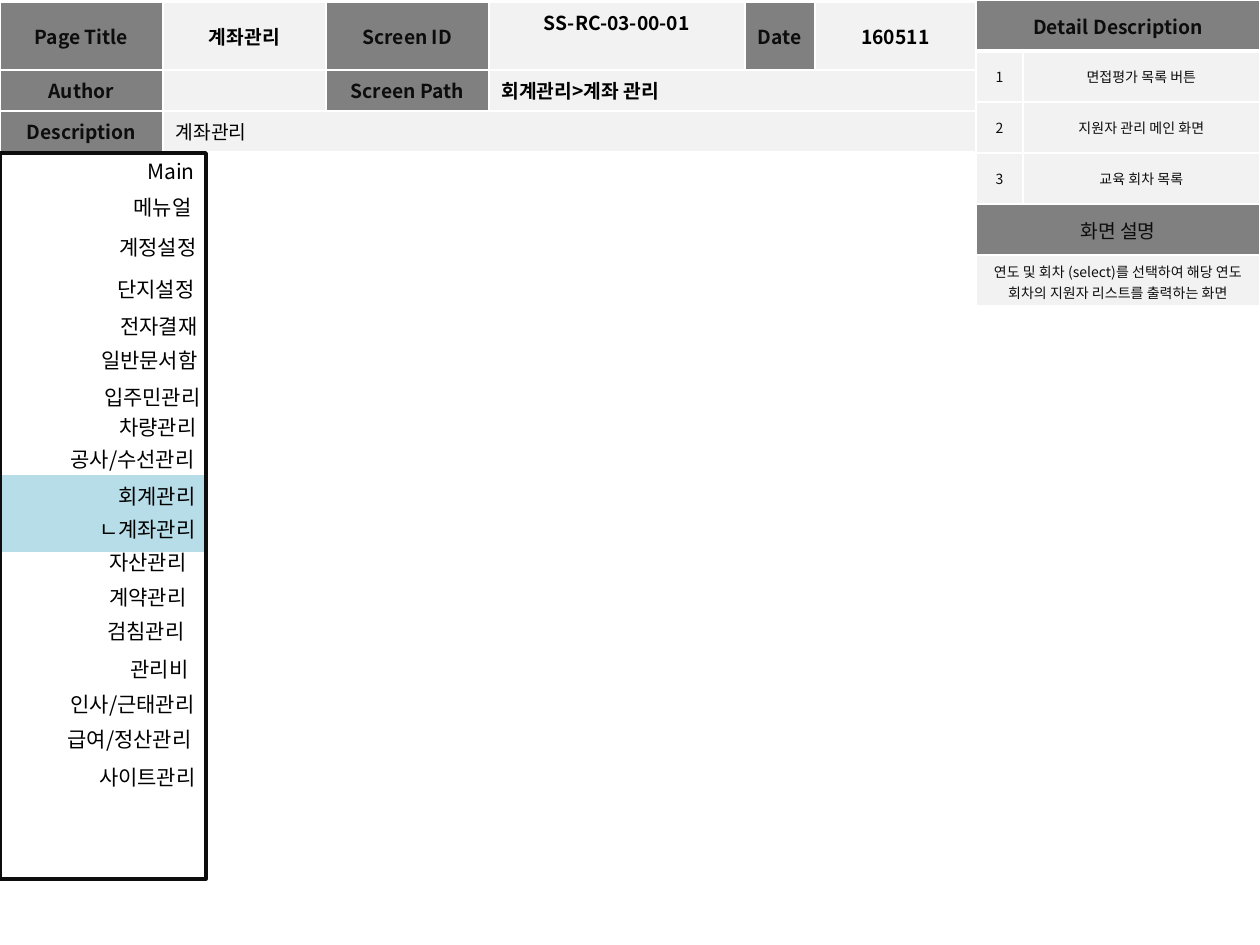
"""Builds the account management page of a screen design document."""
from pptx import Presentation
from pptx import util as u
from pptx.dml.color import RGBColor
from pptx.enum import shapes, text
from pptx.oxml import parse_xml
from pptx.oxml.ns import nsdecls, qn

PX = 914400 / 126
GRAY = RGBColor(0x80, 0x80, 0x80)
PALE = RGBColor(0xF2, 0xF2, 0xF2)
INK = RGBColor(0x0D, 0x0D, 0x0D)
BLACK = RGBColor(0, 0, 0)
WHITE = RGBColor(0xFF, 0xFF, 0xFF)
BLUE = RGBColor(0xB7, 0xDE, 0xE8)

MENU = [
    ("Main", -1, 152), ("메뉴얼", -4, 188), ("계정설정", 1, 228),
    ("단지설정", -1, 270), ("전자결재", 2, 307), ("일반문서함", 2, 341),
    ("입주민관리", 5, 378), ("차량관리", 1, 408), ("공사/수선관리", -1, 440),
    ("회계관리", 0, 477), ("ㄴ계좌관리", 0, 510), ("자산관리", -9, 543),
    ("계약관리", -9, 578), ("검침관리", -11, 612), ("관리비", -7, 650),
    ("인사/근태관리", -1, 685), ("급여/정산관리", -4, 720), ("사이트관리", 0, 758),
]
HEADER = [
    ["Page Title", "계좌관리", "Screen ID", "SS-RC-03-00-01", "Date", "160511"],
    ["Author", "", "Screen Path", "회계관리>계좌 관리", "", ""],
    ["Description", "계좌관리", "", "", "", ""],
]
LABELS = {"Page Title", "Screen ID", "Date", "Author", "Screen Path",
          "Description", "Detail Description", "화면 설명"}
DETAILS = [
    ["Detail Description", ""],
    ["1", "면접평가 목록 버튼"],
    ["2", "지원자 관리 메인 화면"],
    ["3", "교육 회차 목록"],
    ["화면 설명", ""],
    ["연도 및 회차 (select)를 선택하여 해당 연도 회차의 지원자 리스트를 출력하는 화면", ""],
]


def px(value):
    return u.Emu(round(value * PX))


def write(frame, words, size=12, color=BLACK, bold=False, align=text.PP_ALIGN.LEFT):
    paragraph = frame.paragraphs[0]
    paragraph.alignment = align
    if not words:
        paragraph._p.append(parse_xml(f'<a:endParaRPr {nsdecls("a")} sz="{size * 100}"/>'))
        return
    run = paragraph.add_run()
    run.text = words
    font = run.font
    font.size, font.bold, font.name = u.Pt(size), bold, SlideBuilder.FONT
    font.color.rgb = color
    font._element.find(qn("a:latin")).addnext(
        parse_xml(f'<a:ea {nsdecls("a")} typeface="{SlideBuilder.FONT}"/>'))


def set_borders(cell, widths):
    properties = cell._tc.get_or_add_tcPr()
    sides = [side for side in "LRTB" if side in widths]
    for index, side in enumerate(sides):
        properties.insert(index, parse_xml(
            f'<a:ln{side} {nsdecls("a")} w="{u.Pt(widths[side])}">'
            f'<a:solidFill><a:srgbClr val="{WHITE}"/></a:solidFill></a:ln{side}>'))


class SlideBuilder:
    FONT = "Noto Sans CJK KR"
    BORDERS = dict.fromkeys("LRTB", 1)

    def __init__(self, slide):
        self.slide = slide

    def rectangle(self, left, top, width, height, line, fill=None):
        shape = self.slide.shapes.add_shape(
            shapes.MSO_SHAPE.RECTANGLE, px(left), px(top), px(width), px(height))
        shape.shadow.inherit = False
        if fill is None:
            shape.fill.background()
        else:
            shape.fill.solid()
            shape.fill.fore_color.rgb = fill
        shape.line.color.rgb = line
        shape.line.width = u.Pt(2)

    def label(self, words, left, top, width, height):
        frame = self.slide.shapes.add_textbox(px(left), px(top), px(width), px(height)).text_frame
        frame.word_wrap = True
        frame.auto_size = text.MSO_AUTO_SIZE.SHAPE_TO_FIT_TEXT
        write(frame, words, align=text.PP_ALIGN.RIGHT)

    def table(self, rows, left, top, columns, heights, merges, style, first_borders):
        table = self.slide.shapes.add_table(
            len(rows), len(columns), px(left), px(top), px(sum(columns)), px(sum(heights))).table
        table.first_row = table.horz_banding = False
        for column, width in zip(table.columns, columns):
            column.width = px(width)
        for row, height in zip(table.rows, heights):
            row.height = px(height)
        for row, start in merges:
            table.cell(row, start).merge(table.cell(row, len(columns) - 1))
        for r, row in enumerate(rows):
            for c, words in enumerate(row):
                cell = table.cell(r, c)
                cell.vertical_anchor = text.MSO_ANCHOR.MIDDLE
                cell.fill.solid()
                cell.fill.fore_color.rgb = GRAY if words in LABELS else PALE
                set_borders(cell, self.BORDERS if r else first_borders)
                write(cell.text_frame, words, **style(r, c, words))
        return table


def header_style(row, column, words):
    merged = (row, column) in ((1, 3), (2, 1))
    return dict(size=11, bold=(row, column) != (2, 1),
                color=INK if words in LABELS else BLACK,
                align=text.PP_ALIGN.LEFT if merged else text.PP_ALIGN.CENTER)


def detail_style(row, column, words):
    return dict(size=11 if words in LABELS else 8, bold=row == 0, color=INK,
                align=text.PP_ALIGN.CENTER)


def main():
    presentation = Presentation()
    presentation.slide_width, presentation.slide_height = u.Inches(10), u.Inches(7.5)
    builder = SlideBuilder(presentation.slides.add_slide(presentation.slide_layouts[6]))

    header = builder.table(HEADER, 0, 2, [163, 163, 163, 256, 70, 161], [68, 41, 40],
                           [(1, 3), (2, 1)], header_style, {"B": 1})
    header.cell(0, 3).vertical_anchor = text.MSO_ANCHOR.TOP
    date = header.cell(0, 4)
    date.margin_left = date.margin_right = px(10)
    builder.rectangle(0, 473, 207, 81, WHITE, BLUE)
    builder.rectangle(0, 153, 206, 726, INK)
    for words, left, top in MENU:
        builder.label(words, left, top, 208, 37)
    details = builder.table(DETAILS, 976, 0, [47, 237], [51] * 6, [(0, 0), (4, 0), (5, 0)],
                            detail_style, {**builder.BORDERS, "B": 3})
    summary = details.cell(5, 0)
    summary.margin_left = summary.margin_right = px(15)
    presentation.save("out.pptx")


if __name__ == "__main__":
    main()
